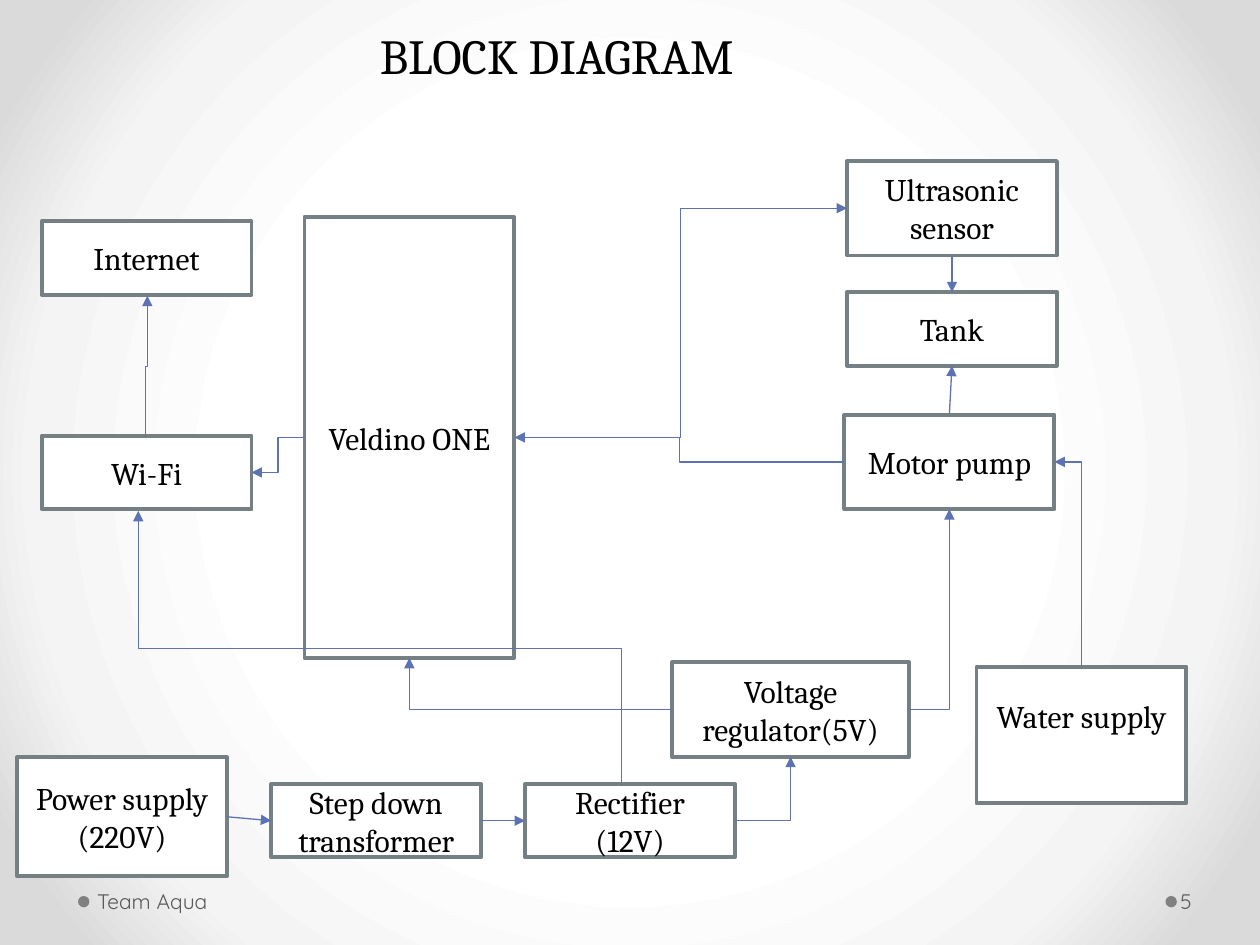
from dataclasses import dataclass

from lxml import etree
from pptx import Presentation
from pptx.dml.color import RGBColor
from pptx.enum.shapes import MSO_CONNECTOR, MSO_SHAPE
from pptx.enum.text import MSO_ANCHOR, PP_ALIGN
from pptx.oxml import parse_xml
from pptx.oxml.ns import nsdecls, qn
from pptx.util import Pt

STRAIGHT, ELBOW = MSO_CONNECTOR.STRAIGHT, MSO_CONNECTOR.ELBOW
RECTANGLE, OVAL = MSO_SHAPE.RECTANGLE, MSO_SHAPE.OVAL
MIDDLE, TOP_ANCHOR = MSO_ANCHOR.MIDDLE, MSO_ANCHOR.TOP
CENTER, START = PP_ALIGN.CENTER, PP_ALIGN.LEFT
TOP, LEFT, BOTTOM, RIGHT = range(4)  # connection sites of a rectangle


@dataclass(frozen=True)
class Theme:
    body_font: str = "Cambria"
    footer_font: str = "Quicksand"
    title_size: float = 28
    block_size: float = 18
    footer_size: float = 12
    text: str = "000000"
    footer_text: str = "595959"
    dot: str = "808080"
    block_fill: str = "FFFFFF"
    block_line: str = "758085"
    arrow: str = "5C72B2"
    block_line_width: float = 2.25
    arrow_width: float = 0.75
    background: tuple = ((50, "FFFFFF"), (76, "F4F4F4"), (92, "DADADA"))


THEME = Theme()

# Label: left, top, width, height in points
BLOCKS = {
    "Veldino ONE": (174, 124, 120, 252),
    "Ultrasonic sensor": (484, 92, 120, 54),
    "Tank": (484, 167, 120, 42),
    "Motor pump": (482.5, 237, 120, 54),
    "Water supply": (558, 381, 120, 78),
    "Voltage regulator(5V)": (384, 378.5, 135.5, 54),
    "Wi-Fi": (23.75, 249, 120, 42),
    "Power supply (220V)": (9.75, 432.75, 120, 68),
    "Step down transformer": (155, 448, 120, 42),
    "Rectifier (12V)": (300, 448, 120, 42),
    "Internet": (23.75, 126.5, 120, 42),
}

STRAIGHT_ARROWS = [
    ("Motor pump", TOP, "Tank", BOTTOM),
    ("Ultrasonic sensor", BOTTOM, "Tank", TOP),
    ("Power supply (220V)", RIGHT, "Step down transformer", LEFT),
    ("Step down transformer", RIGHT, "Rectifier (12V)", LEFT),
]

# Elbows that run from one block side to another; the start side sets the direction
ELBOW_ARROWS = [
    ("Veldino ONE", LEFT, "Wi-Fi", RIGHT),
    ("Voltage regulator(5V)", LEFT, "Veldino ONE", BOTTOM),
    ("Voltage regulator(5V)", RIGHT, "Motor pump", BOTTOM),
    ("Water supply", TOP, "Motor pump", RIGHT),
    ("Rectifier (12V)", RIGHT, "Voltage regulator(5V)", BOTTOM),
    ("Veldino ONE", RIGHT, "Ultrasonic sensor", LEFT),
    ("Motor pump", LEFT, "Veldino ONE", RIGHT),
]

# Upward elbows that meet the blocks a little off their centres
OFFSET_ELBOWS = [
    ((83, 249.5), (84.2, 169)),    # Wi-Fi to Internet
    ((355, 449), (79, 292)),       # Rectifier to Wi-Fi
]


def color(value):
    return RGBColor.from_string(value)


def set_background(slide):
    slide.background.fill.solid()
    solid = slide.background._cSld.find(".//" + qn("a:solidFill"))
    stops = "".join(
        f'<a:gs pos="{position * 1000}"><a:srgbClr val="{value}"/></a:gs>'
        for position, value in THEME.background)
    gradient = parse_xml(
        f'<a:gradFill {nsdecls("a")} rotWithShape="1"><a:gsLst>{stops}</a:gsLst>'
        '<a:path path="circle"><a:fillToRect l="50000" t="50000" r="50000" b="50000"/>'
        '</a:path></a:gradFill>')
    solid.getparent().replace(solid, gradient)


def write_text(shape, text, font, size, value, align, anchor):
    frame = shape.text_frame
    frame.vertical_anchor = anchor
    paragraph = frame.paragraphs[0]
    paragraph.text = text
    paragraph.alignment = align
    paragraph.font.name = font
    paragraph.font.size = Pt(size)
    paragraph.font.color.rgb = color(value)
    return frame


def add_block(slide, label, box):
    shape = slide.shapes.add_shape(RECTANGLE, *map(Pt, box))
    shape.shadow.inherit = False
    shape.fill.solid()
    shape.fill.fore_color.rgb = color(THEME.block_fill)
    shape.line.color.rgb = color(THEME.block_line)
    shape.line.width = Pt(THEME.block_line_width)
    frame = write_text(shape, label, THEME.body_font, THEME.block_size,
                       THEME.text, CENTER, MIDDLE)
    frame.word_wrap = True
    return shape


def add_title(slide, text):
    shape = slide.shapes.add_textbox(Pt(210), Pt(11), Pt(261), Pt(41))
    frame = write_text(shape, text, THEME.body_font, THEME.title_size,
                       THEME.text, START, TOP_ANCHOR)
    frame.word_wrap = False


def add_footer(slide, text, dot_left, text_left, width, inset):
    dot = slide.shapes.add_shape(OVAL, Pt(dot_left), Pt(512), Pt(6.5), Pt(6.5))
    dot.shadow.inherit = False
    dot.fill.solid()
    dot.fill.fore_color.rgb = color(THEME.dot)
    dot.line.fill.background()
    shape = slide.shapes.add_textbox(Pt(text_left), Pt(500.5), Pt(width), Pt(29))
    frame = write_text(shape, text, THEME.footer_font, THEME.footer_size,
                       THEME.footer_text, START, MIDDLE)
    frame.word_wrap = True
    frame.margin_left = Pt(inset)
    frame.margin_right = Pt(3.6)


def add_arrow(slide, kind, begin, end):
    arrow = slide.shapes.add_connector(kind, *map(Pt, (*begin, *end)))
    arrow.line.color.rgb = color(THEME.arrow)
    arrow.line.width = Pt(THEME.arrow_width)
    etree.SubElement(arrow.line._get_or_add_ln(), qn("a:tailEnd"), type="triangle")
    etree.SubElement(arrow._element.spPr, qn("a:effectLst"))
    return arrow


def side_point(box, site):
    left, top, width, height = box
    return {
        TOP: (left + width / 2, top),
        LEFT: (left, top + height / 2),
        BOTTOM: (left + width / 2, top + height),
        RIGHT: (left + width, top + height / 2),
    }[site]


def add_elbow(slide, begin, end, upward=False, one_bend=False):
    if upward:
        # Lay the path out sideways about its centre, then turn it to point up
        center_x, center_y = (begin[0] + end[0]) / 2, (begin[1] + end[1]) / 2
        half_x, half_y = (end[0] - begin[0]) / 2, (end[1] - begin[1]) / 2
        begin = (center_x + half_y, center_y - half_x)
        end = (center_x - half_y, center_y + half_x)
    arrow = add_arrow(slide, ELBOW, begin, end)
    properties = arrow._element.spPr
    if upward:
        properties.find(qn("a:xfrm")).set("rot", str(270 * 60000))
    if one_bend:
        properties.find(qn("a:prstGeom")).set("prst", "bentConnector2")


def main():
    presentation = Presentation()
    presentation.slide_width, presentation.slide_height = Pt(720), Pt(540)
    slide = presentation.slides.add_slide(presentation.slide_layouts[6])
    set_background(slide)

    # Footer and title
    add_footer(slide, "Team Aqua", 44.6, 52, 224, 3.6)
    add_footer(slide, "5", 666, 672.5, 44, 2)
    add_title(slide, "BLOCK DIAGRAM")

    # Blocks
    blocks = {label: add_block(slide, label, box) for label, box in BLOCKS.items()}
    blocks["Water supply"].text_frame.margin_bottom = Pt(25)

    # Arrows
    for source, source_site, target, target_site in STRAIGHT_ARROWS:
        arrow = add_arrow(slide, STRAIGHT, side_point(BLOCKS[source], source_site),
                          side_point(BLOCKS[target], target_site))
        arrow.begin_connect(blocks[source], source_site)
        arrow.end_connect(blocks[target], target_site)
    for source, source_site, target, target_site in ELBOW_ARROWS:
        add_elbow(slide, side_point(BLOCKS[source], source_site),
                  side_point(BLOCKS[target], target_site),
                  upward=source_site == TOP,
                  one_bend=source_site % 2 != target_site % 2)
    for begin, end in OFFSET_ELBOWS:
        add_elbow(slide, begin, end, upward=True)

    presentation.save("out.pptx")


if __name__ == "__main__":
    main()
